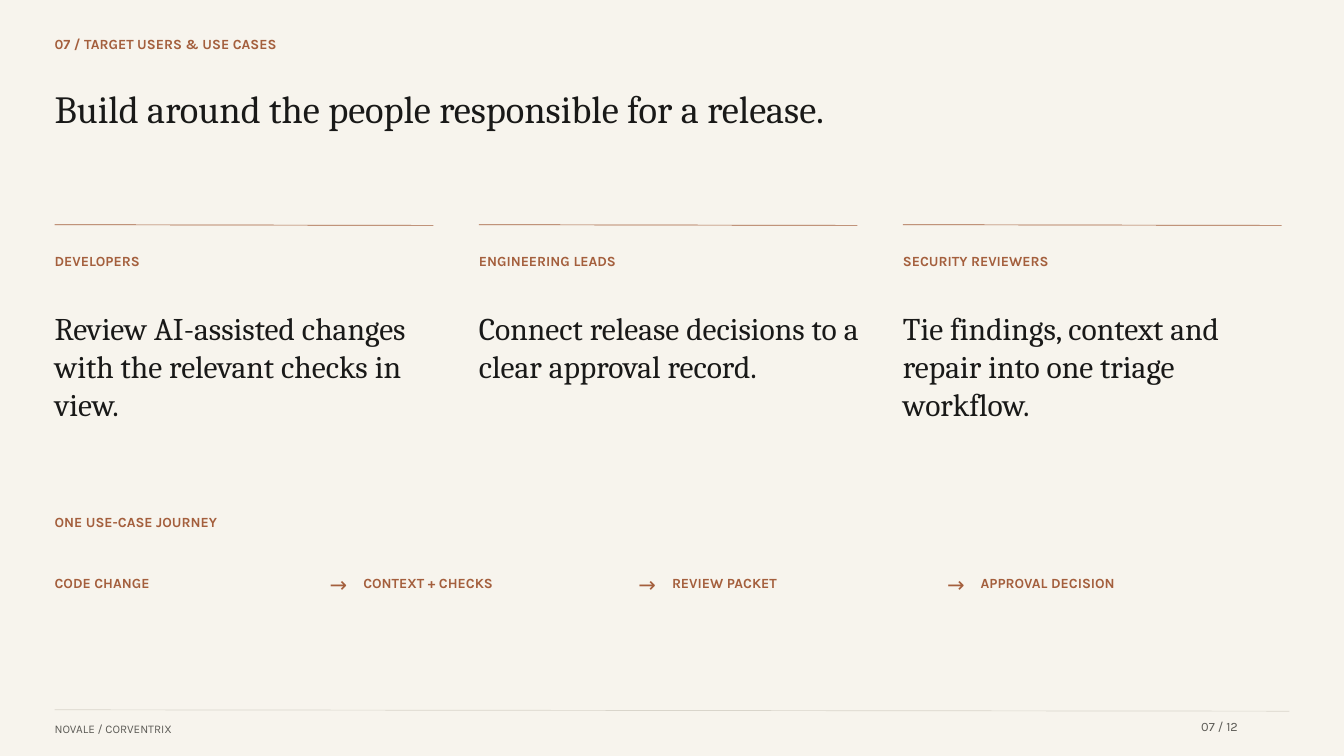
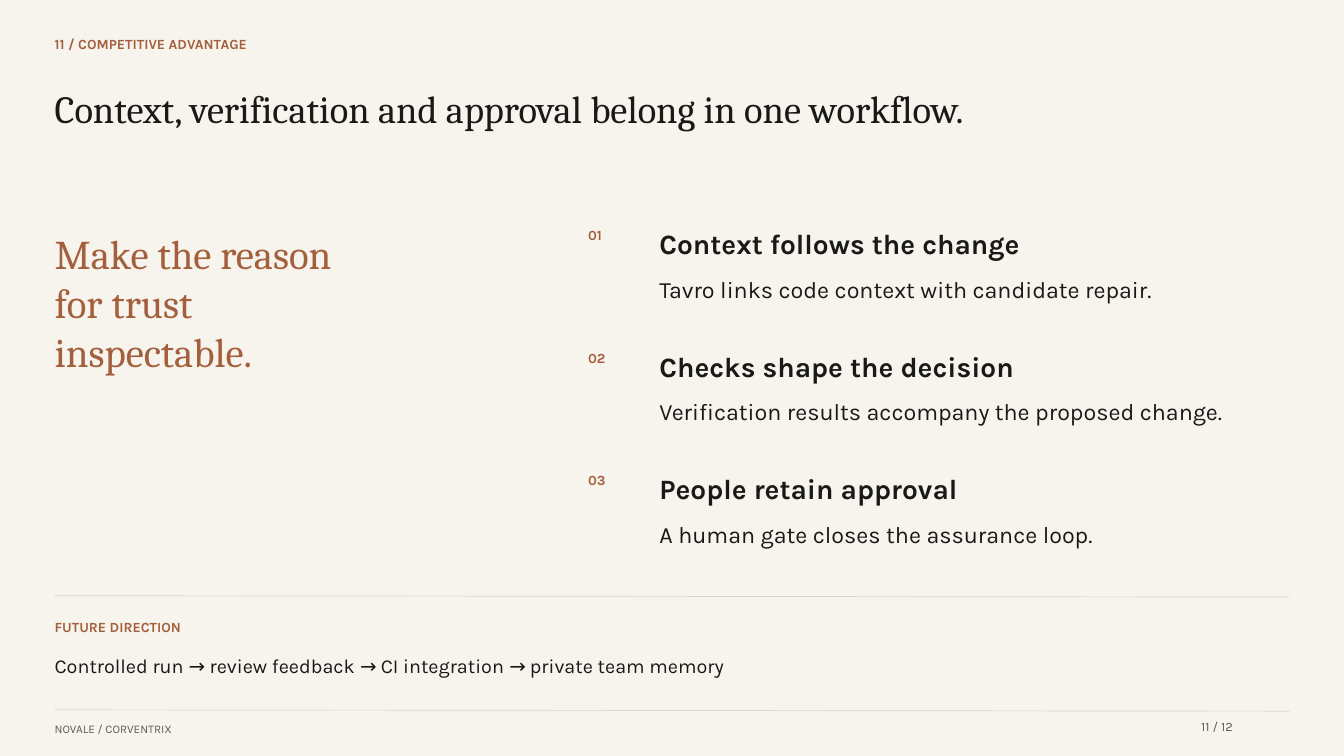
from dataclasses import dataclass

from lxml.etree import SubElement
from pptx import Presentation
from pptx.dml.color import RGBColor
from pptx.enum.shapes import MSO_CONNECTOR
from pptx.enum.text import MSO_AUTO_SIZE
from pptx.oxml.ns import qn
from pptx.util import Emu, Pt

PX = 9525  # EMU per px, on a page of 1920 x 1080


@dataclass(frozen=True)
class TextStyle:
    font: str
    size: float
    leading: float
    color: str
    bold: bool = False


class Theme:
    paper = "F7F4ED"
    ink = "191918"
    clay = "A45F3D"
    grey = "5B5A55"
    rule = "D9D5CB"
    serif = "Cambria"
    sans = "Karla"

    title = TextStyle(serif, 41.2, 49.5, ink)
    statement = TextStyle(serif, 43.7, 52.5, clay)
    need = TextStyle(serif, 33.8, 40.5, ink)
    label = TextStyle(sans, 15, 18, clay, True)
    arrow = TextStyle(sans, 22.5, 27, clay)
    heading = TextStyle(sans, 30, 36, ink, True)
    detail = TextStyle(sans, 25, 30, ink)
    roadmap = TextStyle(sans, 21.2, 25.5, ink)
    footer = TextStyle(sans, 12.5, 15, grey)
    page_number = TextStyle(sans, 13.7, 16.5, grey)


LEFT = 78
CONTENT_WIDTH = 1764
LABEL_WIDTH = 1680
LABEL_HEIGHT = 42
FOOTER_NAME = "NOVALE / CORVENTRIX"
PAGE_TOTAL = 12

AUDIENCES = [
    ("DEVELOPERS", "Review AI-assisted changes with the relevant checks in view."),
    ("ENGINEERING LEADS", "Connect release decisions to a clear approval record."),
    ("SECURITY REVIEWERS", "Tie findings, context and repair into one triage workflow."),
]
JOURNEY = ["CODE CHANGE", "CONTEXT + CHECKS", "REVIEW PACKET", "APPROVAL DECISION"]
ADVANTAGES = [
    ("Context follows the change", "Tavro links code context with candidate repair."),
    ("Checks shape the decision", "Verification results accompany the proposed change."),
    ("People retain approval", "A human gate closes the assurance loop."),
]


# Elements
def px(length):
    return Emu(length * PX)


def add_text(page, text, style, left, top, width, height):
    box = page.shapes.add_textbox(px(left), px(top), px(width), px(height))
    frame = box.text_frame
    frame.word_wrap = True
    frame.margin_left = frame.margin_top = frame.margin_right = frame.margin_bottom = 0
    frame.text = text
    for para in frame.paragraphs:
        para.line_spacing = Pt(style.leading)
        for span in para.runs:
            span.font.name = style.font
            span.font.size = Pt(style.size)
            span.font.bold = style.bold
            span.font.color.rgb = RGBColor.from_string(style.color)
    frame.auto_size = MSO_AUTO_SIZE.SHAPE_TO_FIT_TEXT


def add_label(page, text, left, top, width=LABEL_WIDTH):
    add_text(page, text, Theme.label, left, top, width, LABEL_HEIGHT)


def add_rule(page, left, top, width, color, drop):
    """Draw a hairline that falls by a few px toward its right end."""
    line = page.shapes.add_connector(
        MSO_CONNECTOR.STRAIGHT, px(left), px(top), px(left + width), px(top + drop))
    line.line.color.rgb = RGBColor.from_string(color)
    line.line.width = Pt(0.75)
    SubElement(line.element.spPr, qn("a:effectLst"))


def add_page(deck, number, section, title):
    page = deck.slides.add_slide(deck.slide_layouts[6])
    page.background.fill.solid()
    page.background.fill.fore_color.rgb = RGBColor.from_string(Theme.paper)
    add_label(page, f"{number:02} / {section}", LEFT, 51)
    add_text(page, title, Theme.title, LEFT, 121, CONTENT_WIDTH, 129)
    # Footer
    add_rule(page, LEFT, 1014, CONTENT_WIDTH, Theme.rule, 2)
    add_text(page, FOOTER_NAME, Theme.footer, LEFT, 1031, 1440, 25)
    add_text(page, f"{number:02} / {PAGE_TOTAL}", Theme.page_number, 1716, 1027, 126, 31)
    return page


def add_audience(page, left, name, need):
    add_rule(page, left, 321, 541, Theme.clay, 1)
    add_label(page, name, left, 361, 552)
    add_text(page, need, Theme.need, left, 442, 546, 205)


def add_journey(page, steps, top):
    for index, step in enumerate(steps):
        left = LEFT + index * 441
        if index:
            add_text(page, "→", Theme.arrow, left - 48, top - 4, 42, 48)
        add_label(page, step, left, top, 399)


def add_advantage(page, top, number, heading, detail):
    add_label(page, f"{number:02}", 840, top, 84)
    add_text(page, heading, Theme.heading, 942, top, 900, 73)
    add_text(page, detail, Theme.detail, 942, top + 69, 900, 86)


# Pages
def build_users_page(deck):
    page = add_page(deck, 7, "TARGET USERS & USE CASES",
                    "Build around the people responsible for a release.")
    for index, (name, need) in enumerate(AUDIENCES):
        add_audience(page, LEFT + index * 606, name, need)
    add_label(page, "ONE USE-CASE JOURNEY", LEFT, 734)
    add_journey(page, JOURNEY, 820)


def build_advantage_page(deck):
    page = add_page(deck, 11, "COMPETITIVE ADVANTAGE",
                    "Context, verification and approval belong in one workflow.")
    add_text(page, "Make the reason\nfor trust\ninspectable.",
             Theme.statement, LEFT, 327, 720, 373)
    for index, (heading, detail) in enumerate(ADVANTAGES):
        add_advantage(page, 324 + index * 175, index + 1, heading, detail)
    # Future direction
    add_rule(page, LEFT, 851, CONTENT_WIDTH, Theme.rule, 2)
    add_label(page, "FUTURE DIRECTION", LEFT, 883)
    add_text(page, "Controlled run → review feedback → CI integration → private team memory",
             Theme.roadmap, LEFT, 934, CONTENT_WIDTH, 39)


def main():
    deck = Presentation()
    deck.slide_width, deck.slide_height = px(1920), px(1080)
    build_users_page(deck)
    build_advantage_page(deck)
    deck.save("out.pptx")


if __name__ == "__main__":
    main()
